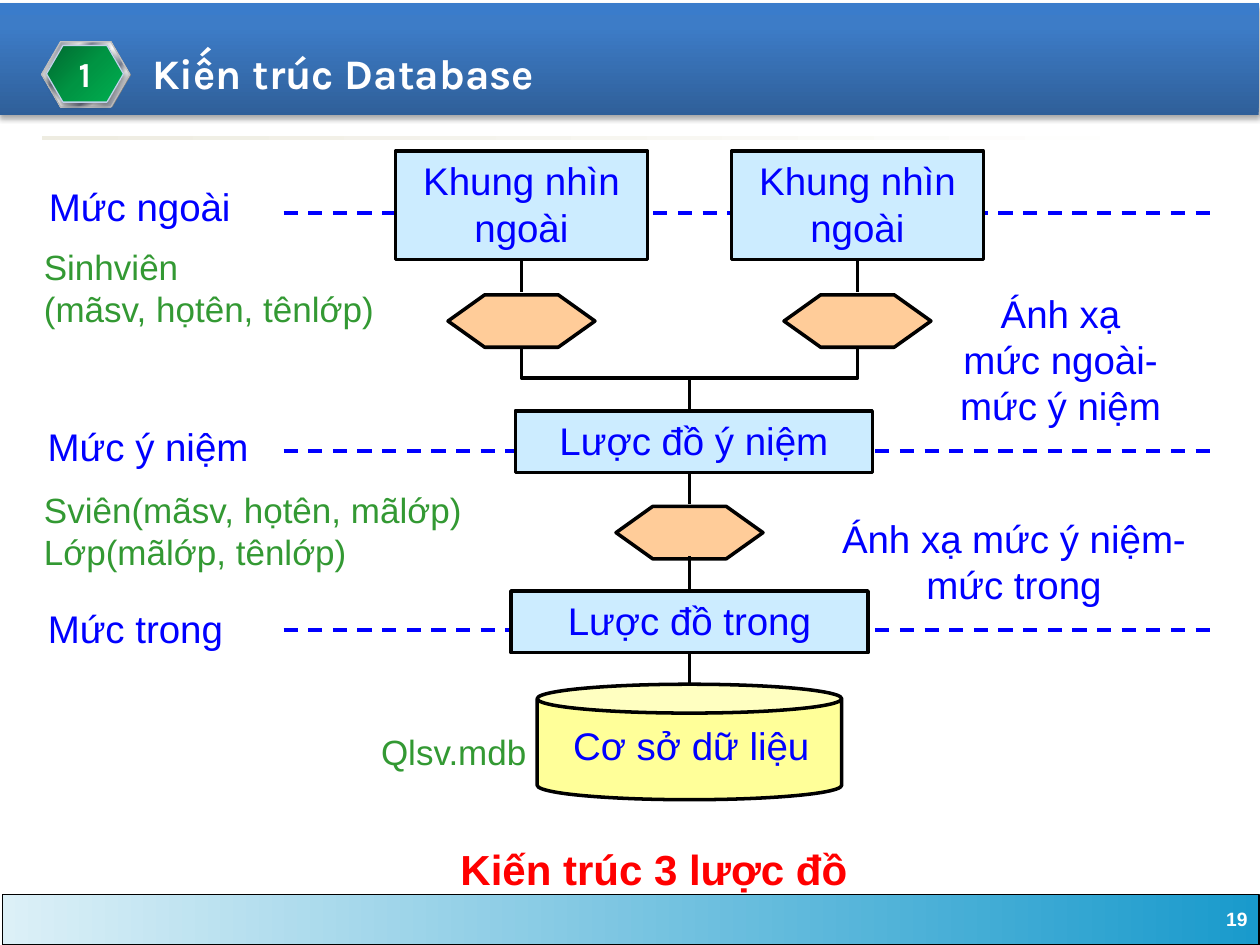
from lxml import etree
from pptx import Presentation
from pptx.dml.color import RGBColor
from pptx.enum import dml, shapes, text
from pptx.oxml import parse_xml
from pptx.oxml.ns import nsdecls, qn
from pptx.util import Pt

WHITE = RGBColor(0xFF, 0xFF, 0xFF)
BLACK = RGBColor(0, 0, 0)
BLUE = RGBColor(0, 0, 0xFF)
GREEN = RGBColor(0x33, 0x99, 0x33)
RED = RGBColor(0xFF, 0, 0)
PALE_BLUE = RGBColor(0xCC, 0xEC, 0xFF)
PEACH = RGBColor(0xFF, 0xCC, 0x99)
YELLOW = RGBColor(0xFF, 0xFF, 0x99)
GREY = RGBColor(0x80, 0x80, 0x80)
SILVER = RGBColor(0xC0, 0xC0, 0xC0)
BADGE_EDGE = RGBColor(0xC2, 0xD1, 0xED)

# Gradients: angle, then (position in percent, colour)
FOOTER_FADE = (0, [(0, "DCF0F7"), (100, "199ACC")])
RULE_FADE = (0, [(0, "EEECE1"), (100, "FFFFFF")])
HEADER_FADE = (270, [(0, "2F5F99"), (80, "3D7CC7"), (100, "3A7CCB")])
METAL_FADE = (45, [(0, "E6E6E6"), (8, "7D8496"), (26, "E6E6E6"), (34, "7D8496"),
                   (46, "E6E6E6"), (50, "FFFFFF"), (54, "E6E6E6"), (66, "7D8496"),
                   (74, "E6E6E6"), (92, "7D8496"), (100, "E6E6E6")])
BADGE_FADE = (45, [(0, "00682F"), (50, "009443"), (100, "00B050")])

LEFT_X, MID_X, RIGHT_X = 298, 394, 490  # centre lines of the diagram
LEVEL_Y = [121.7, 257.8, 360]
VIEW = ["Khung nhìn", "ngoài"]
# name: lines, left, top, width, height
SCHEMAS = {
    "left view": (VIEW, LEFT_X - 72, 86.4, 144, 62),
    "right view": (VIEW, RIGHT_X - 72, 86.4, 144, 62),
    "concept": (["Lược đồ ý niệm"], 294.5, 234.7, 204, 35.3),
    "internal": (["Lược đồ trong"], MID_X - 102, 337.7, 204, 35.3),
}
MAPPINGS = [(LEFT_X, 168.5), (RIGHT_X, 168.5), (MID_X, 289.4)]
# x, from, to, schema joined at the start, schema joined at the end
LINKS = [
    (LEFT_X, 148.4, 167, "left view", None),
    (RIGHT_X, 148.4, 167, "right view", None),
    (MID_X, 216, 234, None, None),
    (MID_X, 270, 288, None, None),
    (MID_X, 318, 337.7, None, "internal"),
    (MID_X, 373, 391, "internal", None),
]
CENTER, LEFT, RIGHT = text.PP_ALIGN.CENTER, text.PP_ALIGN.LEFT, text.PP_ALIGN.RIGHT
# lines, left, top, width, height, size, colour, alignment
LABELS = [
    (["Cơ sở dữ liệu"], 314, 409, 162, 33.8, 22, BLUE, CENTER),
    (["Mức trong"], 20.2, 342, 132, 33.8, 22, BLUE, LEFT),
    (["Mức ý niệm"], 20.2, 238.3, 138, 33.8, 22, BLUE, LEFT),
    (["Mức ngoài"], 20.9, 100.8, 132, 33.8, 22, BLUE, LEFT),
    (["Ánh xạ", "mức ngoài-mức ý niệm"], 528, 162, 156, 86.4, 22, BLUE, CENTER),
    (["Ánh xạ mức ý niệm-mức trong"], 459.4, 290.9, 240, 59.8, 22, BLUE, CENTER),
    (["Qlsv.mdb"], 202.3, 414, 114, 31, 20, GREEN, CENTER),
    (["Sviên(mãsv, họtên, mãlớp)", "Lớp(mãlớp, tênlớp)"],
     18, 275.8, 312, 55.4, 20, GREEN, LEFT),
    (["Sinhviên", "(mãsv, họtên, tênlớp)"], 18, 136.8, 222, 55.4, 20, GREEN, LEFT),
]

deck = Presentation()
deck.slide_width, deck.slide_height = Pt(720), Pt(540)
page = deck.slides.add_slide(deck.slide_layouts[6])
SHAPE = shapes.MSO_SHAPE


def write(shape, lines, size, color, align=CENTER, font="Arial", bold=False,
          anchor=text.MSO_ANCHOR.TOP, wrap=True):
    frame = shape.text_frame
    frame.text = "\n".join(lines)
    frame.word_wrap = wrap
    frame.vertical_anchor = anchor
    for para in frame.paragraphs:
        para.alignment = align
        for span in para.runs:
            span.font.size, span.font.name, span.font.bold = Pt(size), font, bold
            span.font.color.rgb = color


def label(lines, left, top, width, height, size, color, align, **style):
    box = page.shapes.add_textbox(Pt(left), Pt(top), Pt(width), Pt(height))
    write(box, lines, size, color, align, **style)


def fill_gradient(shape, angle, stops):
    shape.fill.background()
    gradient = parse_xml(
        f'<a:gradFill {nsdecls("a")} rotWithShape="1"><a:gsLst>'
        + "".join(f'<a:gs pos="{pos * 1000}"><a:srgbClr val="{color}"/></a:gs>'
                  for pos, color in stops)
        + f'</a:gsLst><a:lin ang="{angle * 60000}" scaled="0"/></a:gradFill>')
    properties = shape._element.spPr
    properties.replace(properties.find(qn("a:noFill")), gradient)


def add_shape(kind, left, top, width, height, fill, line=None, weight=2, adjust=None):
    """Add a preset shape; fill is a colour or a gradient tuple."""
    shape = page.shapes.add_shape(kind, Pt(left), Pt(top), Pt(width), Pt(height))
    shape.shadow.inherit = False
    if adjust is not None:
        shape.adjustments[0] = adjust
    if isinstance(fill, RGBColor):
        shape.fill.solid()
        shape.fill.fore_color.rgb = fill
    else:
        fill_gradient(shape, *fill)
    if line is None:
        shape.line.fill.background()
    else:
        shape.line.color.rgb = line
        shape.line.width = Pt(weight)
    return shape


def drop_shadow(shape, alpha, blur, distance):
    effects = shape._element.spPr.find(qn("a:effectLst"))
    effects.append(parse_xml(
        f'<a:outerShdw {nsdecls("a")} blurRad="{Pt(blur)}" dist="{Pt(distance)}" '
        f'dir="5400000" rotWithShape="0"><a:srgbClr val="000000">'
        f'<a:alpha val="{alpha * 1000}"/></a:srgbClr></a:outerShdw>'))


def add_line(x1, y1, x2, y2, color):
    line = page.shapes.add_connector(
        shapes.MSO_CONNECTOR.STRAIGHT, Pt(x1), Pt(y1), Pt(x2), Pt(y2))
    line.line.color.rgb = color
    line.line.width = Pt(2)
    etree.SubElement(line._element.spPr, qn("a:effectLst"))
    return line


# Footer and title
add_shape(SHAPE.RECTANGLE, 1.4, 511.2, 718, 28.8, FOOTER_FADE, BLACK, 0.75)
add_shape(SHAPE.RECTANGLE, 24, 77.8, 648, 2.2, RULE_FADE)
label(["19"], 300, 513, 420, 24, 11, WHITE, RIGHT, bold=True,
      anchor=text.MSO_ANCHOR.MIDDLE)
label(["Kiến trúc 3 lược đồ"], 49.7, 451.4, 648, 90, 24, RED, CENTER, bold=True,
      anchor=text.MSO_ANCHOR.MIDDLE)

# Diagram
for y in LEVEL_Y:
    add_line(162, y, 696, y, BLUE).line.dash_style = dml.MSO_LINE.DASH

schema_boxes = {}
for name, (lines, *place) in SCHEMAS.items():
    schema_boxes[name] = add_shape(SHAPE.RECTANGLE, *place, PALE_BLUE, BLACK)
    write(schema_boxes[name], lines, 22, BLUE)

for x, top in MAPPINGS:
    add_shape(SHAPE.HEXAGON, x - 42, top, 84, 30, PEACH, BLACK, adjust=0.7)

builder = page.shapes.build_freeform(Pt(LEFT_X), Pt(198))
builder.add_line_segments(
    [(Pt(LEFT_X), Pt(216)), (Pt(RIGHT_X), Pt(216)), (Pt(RIGHT_X), Pt(198))], close=False)
bracket = builder.convert_to_shape()
bracket.shadow.inherit = False
bracket.fill.background()
bracket.line.color.rgb = BLACK
bracket.line.width = Pt(2)

for x, start, end, source, target in LINKS:
    link = add_line(x, start, x, end, BLACK)
    if source:
        link.begin_connect(schema_boxes[source], 2)
    if target:
        link.end_connect(schema_boxes[target], 0)

add_shape(SHAPE.CAN, 307, 391, 174, 66, YELLOW, BLACK, adjust=0.25)
for entry in LABELS:
    label(*entry)

# Header
header = add_shape(SHAPE.RECTANGLE, -0.7, 2, 720, 64, HEADER_FADE)
drop_shadow(header, 35, 3.1, 1.8)
label(["Kiến trúc Database"], 80, 23.8, 640, 36, 24, WHITE, LEFT, font="Karla", bold=True)
add_shape(SHAPE.HEXAGON, 24.5, 24.5, 50.4, 36.7, GREY, adjust=0.29)
add_shape(SHAPE.HEXAGON, 23.8, 23.8, 50.4, 37.4, METAL_FADE, SILVER, 0.75, 0.29)
badge = add_shape(SHAPE.HEXAGON, 26.6, 26, 44, 32.4, BADGE_FADE, BADGE_EDGE, 0.75, 0.29)
drop_shadow(badge, 38, 3.1, 1.6)
write(badge, ["1"], 20, WHITE, font="Karla", bold=True,
      anchor=text.MSO_ANCHOR.MIDDLE, wrap=False)

deck.save("out.pptx")
